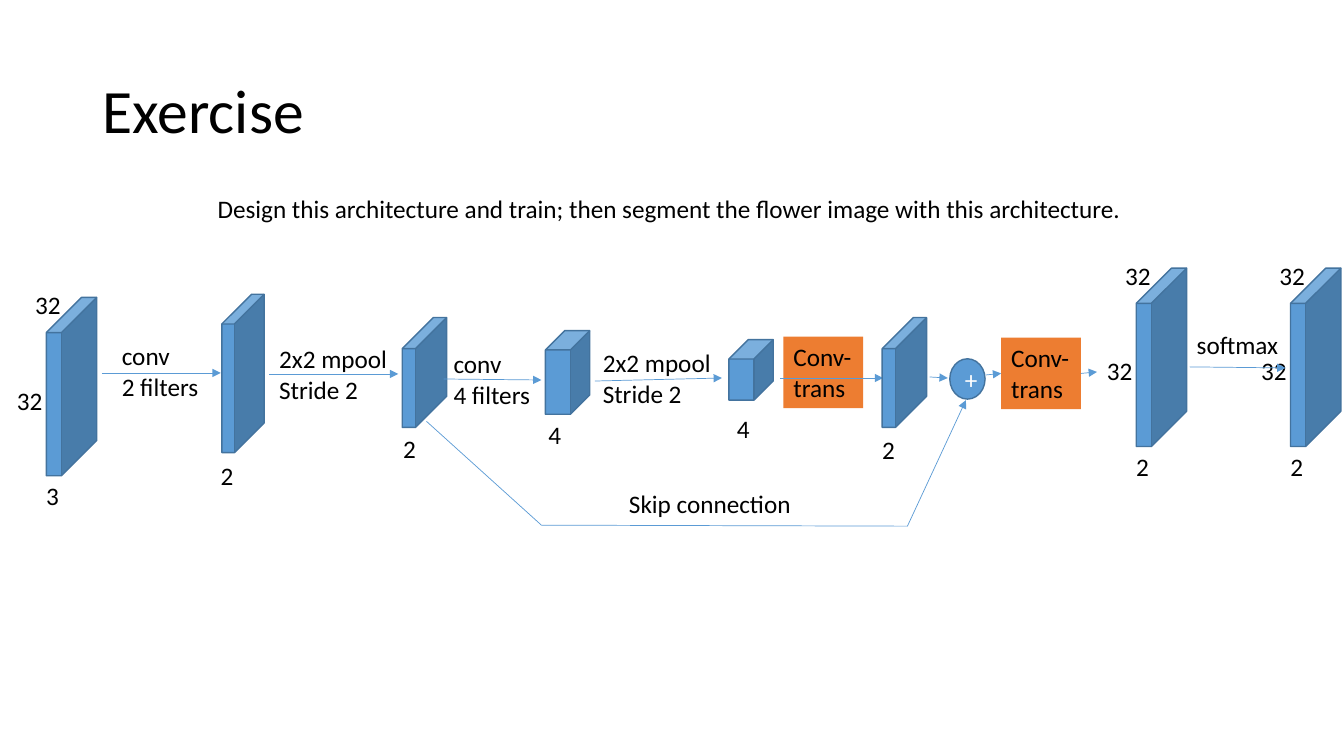
import pptx
import pptx.dml.color
import pptx.enum.shapes
import pptx.enum.text
import pptx.oxml
import pptx.oxml.ns
import pptx.util

PX = 9144  # EMU per px, 100 px to the inch
FONT = "Calibri"
BLUE, EDGE, ORANGE = "5B9BD5", "43739E", "ED7D31"
BLACK, WHITE = "000000", "FFFFFF"
SHAPES = pptx.enum.shapes.MSO_SHAPE
ALIGN = pptx.enum.text.PP_ALIGN
ANCHOR = pptx.enum.text.MSO_ANCHOR


def px(*lengths):
    return [pptx.util.Emu(length * PX) for length in lengths]


def color(value):
    return pptx.dml.color.RGBColor.from_string(value)


def write(shape, text, size=18, font_color=BLACK, align=ALIGN.LEFT,
          anchor=ANCHOR.TOP, wrap=False):
    frame = shape.text_frame
    frame.text = text
    frame.word_wrap = wrap
    frame.vertical_anchor = anchor
    for paragraph in frame.paragraphs:
        paragraph.alignment = align
        for run in paragraph.runs:
            run.font.name = FONT
            run.font.size = pptx.util.Pt(size)
            run.font.color.rgb = color(font_color)


def add_label(slide, box, text, **style):
    label = slide.shapes.add_textbox(*px(*box))
    write(label, text, **style)
    return label


def add_block(slide, preset, box, fill, edge=None):
    block = slide.shapes.add_shape(preset, *px(*box))
    block.shadow.inherit = False
    block.fill.solid()
    block.fill.fore_color.rgb = color(fill)
    if edge:
        block.line.color.rgb = color(edge)
        block.line.width = pptx.util.Pt(1)
    else:
        block.line.fill.background()
    return block


def add_line(slide, start, end, arrow=True):
    line = slide.shapes.add_connector(
        pptx.enum.shapes.MSO_CONNECTOR.STRAIGHT, *px(*start, *end))
    line.line.color.rgb = color(BLUE)
    line.line.width = pptx.util.Pt(0.5)
    if arrow:
        outline = line.line._get_or_add_ln()
        head = pptx.oxml.parse_xml(
            '<a:tailEnd %s type="triangle"/>' % pptx.oxml.ns.nsdecls("a"))
        outline.append(head)
    properties = line._element.spPr
    properties.append(pptx.oxml.parse_xml(
        "<a:effectLst %s/>" % pptx.oxml.ns.nsdecls("a")))
    return line


def add_volume(slide, box, channels, label_offset, slant=0.701, side=None):
    """A feature volume with its channel count, and its side length if given."""
    left, top, width, height = box
    cube = add_block(slide, SHAPES.CUBE, box, BLUE, EDGE)
    cube.adjustments[0] = slant
    dx, dy = label_offset
    add_label(slide, (left + dx, top + height + dy, 33, 40), channels)
    if side:
        add_label(slide, (left - 21, top - 13, 46, 40), side)
        add_label(slide, (left - 39, top + 82, 46, 40), side)


def add_operation(slide, box, text, start, end):
    """An arrow between two volumes and the name of the step."""
    add_line(slide, start, end)
    add_label(slide, box, text)


def add_conv_trans(slide, left, top):
    block = add_block(slide, SHAPES.RECTANGLE, (left, top, 79, 71), ORANGE)
    write(block, "Conv-\ntrans")
    return block


def add_heading(slide, left, top):
    title = add_label(slide, (left, top, 1150, 145), "Exercise", size=44,
                      anchor=ANCHOR.MIDDLE, wrap=True)
    title.text_frame.paragraphs[0].line_spacing = 0.9
    add_label(slide, (left + 114, top + 147, 920, 40),
              "Design this architecture and train; then segment the flower "
              "image with this architecture.")


def add_encoder(slide):
    add_volume(slide, (46, 295, 50, 177), "3", (-10, 0), side="32")
    add_volume(slide, (220, 292, 42, 157), "2", (-11, 3))
    add_volume(slide, (399, 315, 44, 109), "2", (-9, 1))
    add_volume(slide, (541, 328, 44, 83), "4", (-7, 0), slant=0.435)
    add_volume(slide, (723, 337, 44, 60), "4", (-2, 8), slant=0.435)

    add_operation(slide, (111, 333, 97, 71), "conv\n2 filters",
                  (101, 370), (219, 370))
    add_operation(slide, (267, 336, 128, 71), "2x2 mpool\nStride 2",
                  (267, 371), (395, 371))
    add_operation(slide, (440, 341, 97, 71), "conv\n4 filters",
                  (440, 376), (537, 377))
    add_operation(slide, (588, 340, 128, 71), "2x2 mpool\nStride 2",
                  (590, 378), (716, 375))


def add_decoder(slide):
    # Upsampling to the sum
    add_conv_trans(slide, 777, 334)
    add_line(slide, (774, 375), (876, 375))
    add_volume(slide, (875, 315, 44, 109), "2", (-10, 2))
    add_line(slide, (922, 374), (940, 375))
    plus = add_block(slide, SHAPES.OVAL, (942, 356, 35, 40), BLUE, EDGE)
    write(plus, "+", font_color=WHITE, align=ALIGN.CENTER,
          anchor=ANCHOR.MIDDLE, wrap=True)

    # Second upsampling
    upsampling = add_conv_trans(slide, 993, 335)
    add_line(slide, (978, 372), (993, 370)).end_connect(upsampling, 1)
    add_line(slide, (1073, 368), (1088, 369)).begin_connect(upsampling, 3)

    # Output volumes
    for left in (1127, 1280):
        add_volume(slide, (left, 266, 50, 177), "2", (-10, 0), side="32")
    add_operation(slide, (1177, 322, 102, 40), "softmax",
                  (1180, 364), (1275, 365))


def add_skip_connection(slide):
    corners = [(423, 418), (537, 521), (900, 522), (958, 397)]
    for start, end in zip(corners, corners[1:]):
        add_line(slide, start, end, arrow=end == corners[-1])
    add_label(slide, (614, 480, 183, 40), "Skip connection")


def main():
    presentation = pptx.Presentation()
    presentation.slide_width, presentation.slide_height = px(1333, 750)
    slide = presentation.slides.add_slide(presentation.slide_layouts[6])
    add_heading(slide, 92, 40)
    add_encoder(slide)
    add_decoder(slide)
    add_skip_connection(slide)
    presentation.save("out.pptx")


if __name__ == "__main__":
    main()
